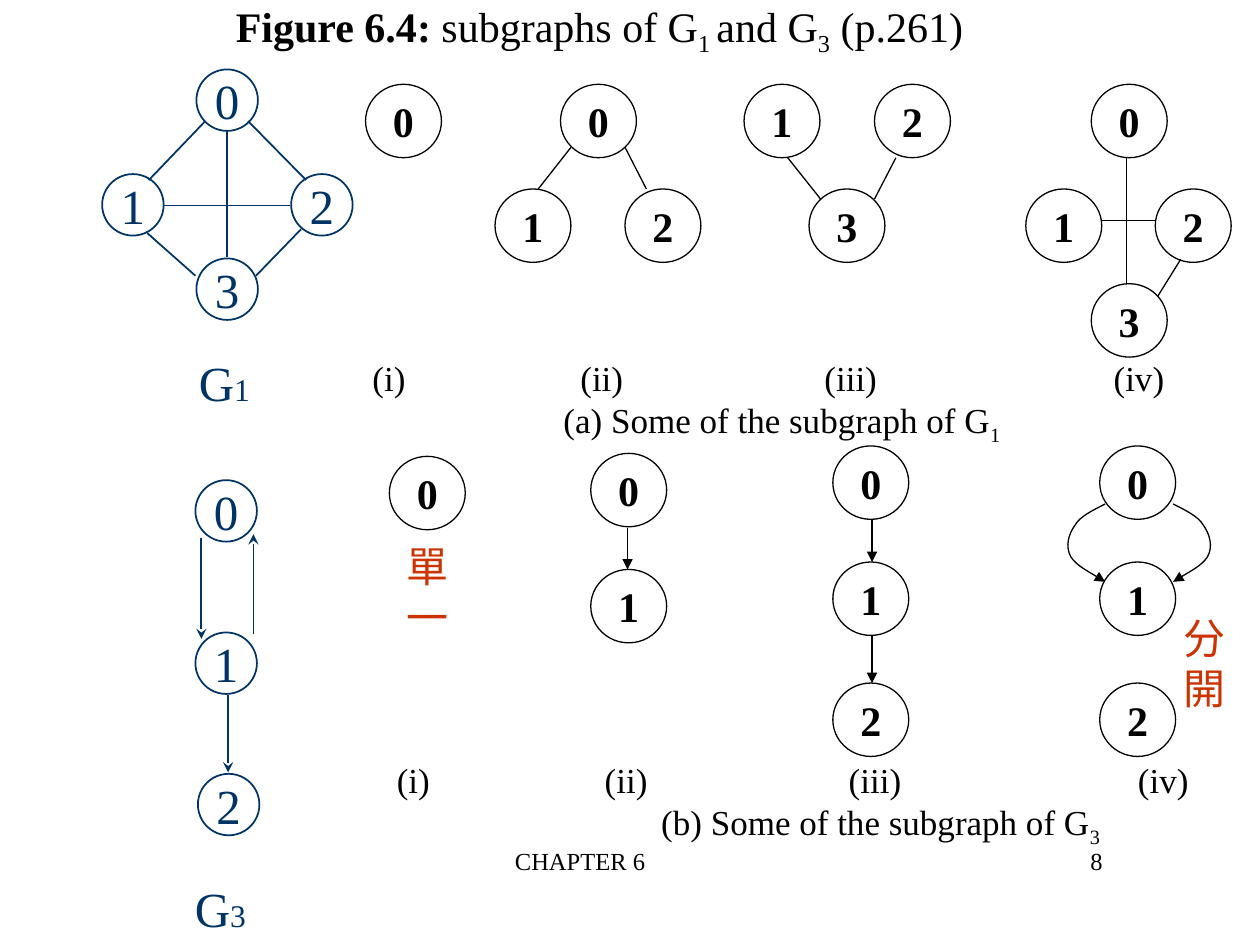
from pptx import Presentation
from pptx.dml.color import RGBColor
from pptx.enum.shapes import MSO_CONNECTOR, MSO_SHAPE
from pptx.enum.text import MSO_ANCHOR, MSO_AUTO_SIZE, PP_ALIGN
from pptx.oxml.ns import qn
from pptx.util import Cm, Pt
from lxml.etree import SubElement

HUES = {"ink": "000000", "navy": "003366", "red": "CC3300", "paper": "FFFFFF"}
FONT = "Times New Roman"
LEFT, MID, RIGHT = PP_ALIGN.LEFT, PP_ALIGN.CENTER, PP_ALIGN.RIGHT


def hue(name):
    return RGBColor.from_string(HUES[name])


class Pen:
    """Draws on one slide; a style is node width, height, line, text size, bold."""
    STYLES = {"ink": (1.53, 1.48, 0.75, 24, True),
              "navy": (1.24, 1.24, 1, 28, False)}

    def __init__(self, slide):
        self.slide = slide
        self.shapes = slide.shapes
        self.color = "ink"

    def group(self):
        self.shapes = self.slide.shapes.add_group_shape().shapes

    def ungroup(self):
        self.shapes = self.slide.shapes

    def fill_text(self, para, parts, size, color, bold=False):
        """Parts are (text, changes) pairs; changes may set size, bold or sub."""
        for text, change in parts:
            run = para.add_run()
            run.text = text
            font = run.font
            font.name, font.size = FONT, Pt(change.get("size", size))
            font.bold = change.get("bold", bold)
            font.color.rgb = hue(color)
            if "sub" in change:
                font._element.set("baseline", "-25000")

    def text(self, box, parts, size, color="ink", align=LEFT, anchor=MSO_ANCHOR.TOP):
        frame = self.shapes.add_textbox(*map(Cm, box)).text_frame
        frame.word_wrap = True
        frame.vertical_anchor = anchor
        para = frame.paragraphs[0]
        para.alignment = align
        self.fill_text(para, parts, size, color)
        return frame

    def title(self, box, parts):
        shape = self.slide.shapes.title
        shape.left, shape.top, shape.width, shape.height = map(Cm, box)
        frame = shape.text_frame
        frame.auto_size = MSO_AUTO_SIZE.NONE
        frame.vertical_anchor = MSO_ANCHOR.TOP
        frame.margin_top = 0
        para = frame.paragraphs[0]
        para.alignment = LEFT
        self.fill_text(para, parts, 24, "ink")

    def labels(self, left, top, indent, text, sub):
        """A row of figure numbers on tab stops, over an indented caption."""
        frame = self.text((left, top, 16.5, 2.08), [], 20, anchor=MSO_ANCHOR.MIDDLE)
        row, note = frame.paragraphs[0], frame.add_paragraph()
        stops = SubElement(row._p.get_or_add_pPr(), qn("a:tabLst"))
        for stop in (4.19, 9.11, 14.94):
            SubElement(stops, qn("a:tab"), pos=str(Cm(stop)), algn="l")
        self.fill_text(row, [("(i)\t(ii)\t(iii)\t(iv)", {})], 20, "ink")
        note._p.get_or_add_pPr().set("marL", str(Cm(indent)))
        self.fill_text(note, [(text, {}), (sub, {"sub": True})], 20, "ink")

    def node(self, text, left, top):
        wide, high, line, size, bold = self.STYLES[self.color]
        shape = self.shapes.add_shape(MSO_SHAPE.OVAL, Cm(left), Cm(top), Cm(wide), Cm(high))
        shape.shadow.inherit = False
        if self.color == "navy":
            shape.fill.solid()
            shape.fill.fore_color.rgb = hue("paper")
        else:
            shape.fill.background()
        shape.line.color.rgb = hue(self.color)
        shape.line.width = Pt(line)
        frame = shape.text_frame
        frame.word_wrap = False
        frame.vertical_anchor = MSO_ANCHOR.MIDDLE
        frame.paragraphs[0].alignment = MID
        self.fill_text(frame.paragraphs[0], [(text, {})], size, self.color, bold)

    def stroke(self, shape, head):
        shape.line.color.rgb = hue(self.color)
        shape.line.width = Pt(self.STYLES[self.color][2])
        if head:
            SubElement(shape.line._get_or_add_ln(), qn("a:tailEnd"), type=head)

    def edge(self, x1, y1, x2, y2, head=None):
        line = self.shapes.add_connector(MSO_CONNECTOR.STRAIGHT, *map(Cm, (x1, y1, x2, y2)))
        self.stroke(line, head)
        SubElement(line._element.spPr, qn("a:effectLst"))

    def curve(self, points, head):
        """Every three points after the first make one Bezier segment."""
        spots = [(Cm(x), Cm(y)) for x, y in points]
        build = self.shapes.build_freeform(*spots[0])
        build.add_line_segments(spots[1:], close=False)
        shape = build.convert_to_shape()
        shape.shadow.inherit = False
        shape.fill.background()
        self.stroke(shape, head)
        route = next(shape._element.iter(qn("a:path")))
        steps = route.findall(qn("a:lnTo"))
        for i in range(0, len(steps), 3):
            bend = SubElement(route, qn("a:cubicBezTo"))
            for step in steps[i:i + 3]:
                bend.append(step[0])
                route.remove(step)


def main():
    deck = Presentation()
    deck.slide_width, deck.slide_height = Cm(25.4), Cm(19.05)
    pen = Pen(deck.slides.add_slide(deck.slide_layouts[5]))

    # Title and footer
    pen.title((4.5, 0, 20.9, 1.9), [
        ("Figure 6.4:", {"bold": True}), (" subgraphs of G", {}), ("1 ", {"sub": True}),
        ("and G", {}), ("3", {"sub": True}), (" (p.261)", {})])
    pen.text((7.67, 16.94, 8.05, 1.27), [("CHAPTER 6", {})], 14, align=MID)
    pen.text((17.2, 16.94, 5.28, 1.27), [("8", {})], 14, align=RIGHT)

    # Subgraphs of G1
    pen.group()
    top, mid, low = 1.7, 3.81, 5.72
    for name, x, y in (("0", 7.37, top),
                       ("0", 11.3, top), ("1", 9.98, mid), ("2", 12.6, mid),
                       ("1", 15, top), ("2", 17.63, top), ("3", 16.31, mid),
                       ("0", 22, top), ("1", 20.68, mid), ("2", 23.29, mid), ("3", 22, low)):
        pen.node(name, x, y)
    for ends in ((11.51, 2.97, 10.85, mid), (12.6, 2.97, 13.03, mid),
                 (16.54, 4.01, 15.88, 3.18), (17.63, 4.01, 18.06, 3.18),
                 (22.2, 4.45, 23.29, 4.45), (22.71, 3.18, 22.71, low),
                 (23.8, 5.23, 23.34, 5.97)):
        pen.edge(*ends)
    pen.ungroup()
    pen.labels(7.26, 7.06, 3.85, "(a) Some of the subgraph of G", "1")

    # Subgraphs of G3
    pen.group()
    top, mid, low = 8.99, 11.33, 13.77
    pen.node("0", 7.85, 9.2)
    pen.node("0", 11.91, 9.14)
    pen.node("1", 11.91, 11.48)
    for x in (16.79, 22.17):
        for name, y in zip("012", (top, mid, low)):
            pen.node(name, x, y)
    for x, y1, y2 in ((12.65, 10.64, 11.48), (17.58, 10.46, mid), (17.58, 12.8, low)):
        pen.edge(x, y1, x, y2, "triangle")
    bulge = ((0, 10.16), (0.25, 10.29), (0.51, 10.41), (0.61, 10.59), (0.74, 10.77),
             (0.81, 11.02), (0.69, 11.23), (0.58, 11.4), (0.1, 11.66), (0, 11.73))
    for x, side in ((22.28, -1), (23.65, 1)):
        pen.curve([(x + side * dx, y) for dx, y in bulge], "triangle")
    pen.ungroup()
    pen.labels(7.75, 15.16, 5.33, "(b) Some of the subgraph of G", "3")

    # Red remarks
    for text, x, y in (("分開", 23.19, 12.73), ("單一", 7.52, 11.28)):
        pen.text((x, y, 2.18, 1.27), [(text, {})], 24, "red", MID, MSO_ANCHOR.MIDDLE)

    # Graph G1
    pen.color = "navy"
    for name, x, y in (("0", 3.96, 1.4), ("1", 2.06, 3.51), ("2", 5.87, 3.51), ("3", 3.96, 5.21)):
        pen.node(name, x, y)
    for ends in ((4.57, 2.64, 4.57, 5.18), (3.3, 4.14, 5.84, 4.14),
                 (4.14, 2.44, 3, 3.63), (5, 2.44, 6.17, 3.63),
                 (2.97, 4.7, 3.94, 5.56), (6.07, 4.62, 5.16, 5.56)):
        pen.edge(*ends)

    # Graph G3
    for name, x, y in (("0", 3.94, 9.68), ("1", 3.94, 12.75), ("2", 3.99, 15.6)):
        pen.node(name, x, y)
    for x, y1, y2 in ((4.6, 14.02, 15.57), (5.11, 12.78, 10.77), (4.06, 10.85, 12.88)):
        pen.edge(x, y1, x, y2, "stealth")

    # Graph names
    for sub, x, y in (("1", 3.76, 6.99), ("3", 3.68, 17.58)):
        pen.text((x, y, 1.8, 1.45), [("G", {}), (sub, {"size": 18})], 28, "navy")

    deck.save("out.pptx")


if __name__ == "__main__":
    main()
